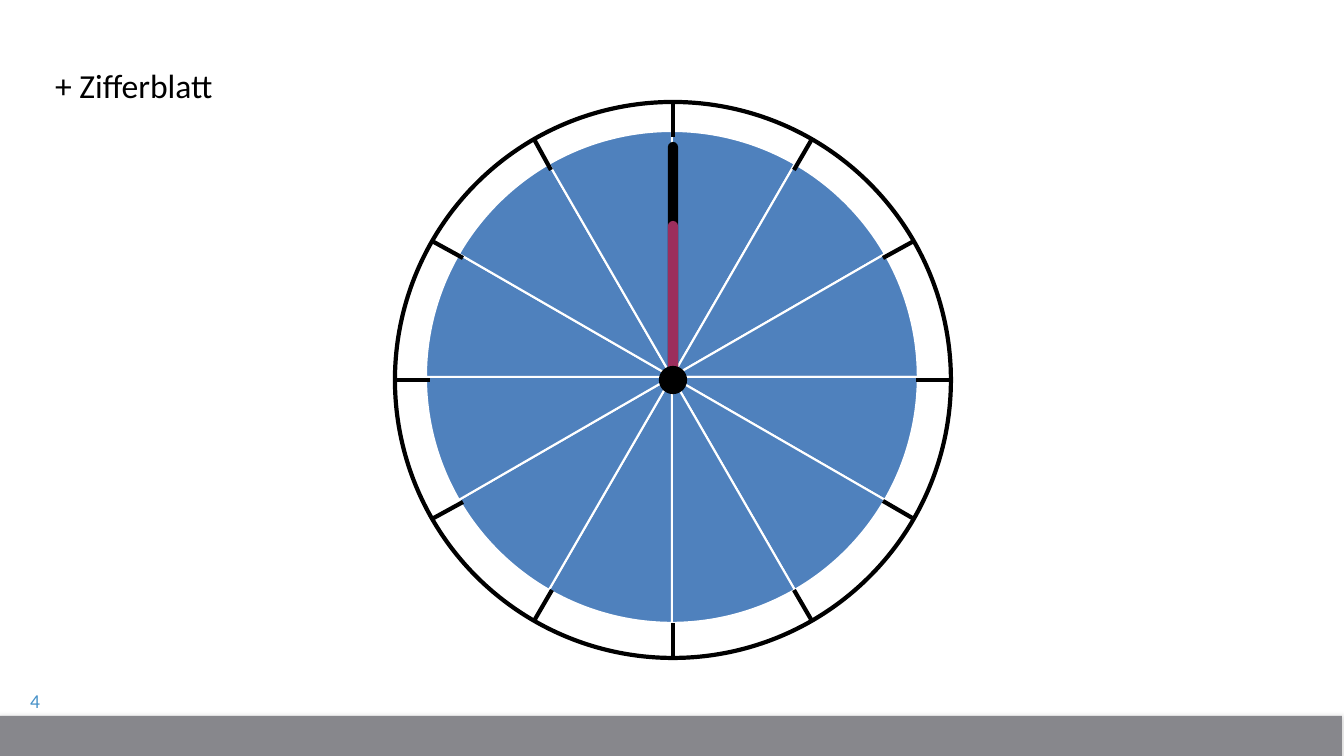
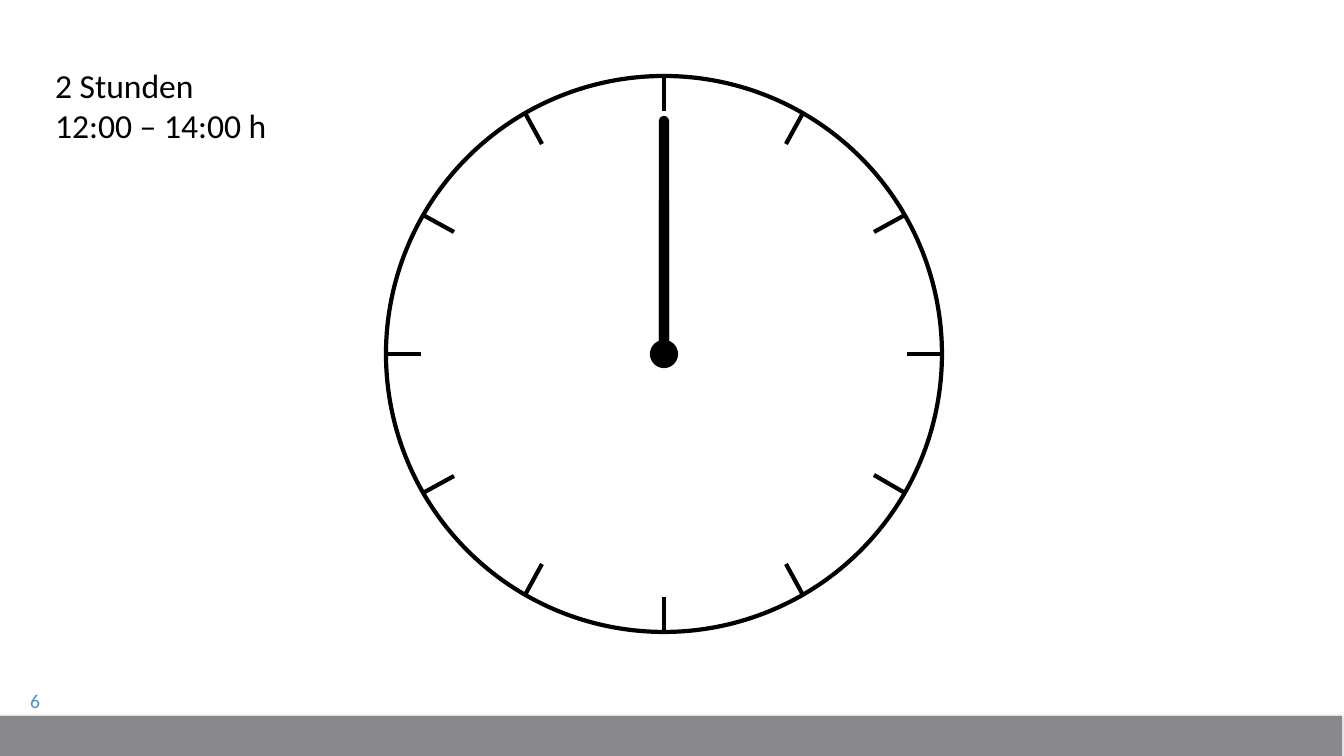
"""Build two slides that teach clock faces."""
from math import cos, radians, sin

from lxml.etree import SubElement
from pptx import Presentation
from pptx.chart.data import CategoryChartData
from pptx.dml.color import RGBColor
from pptx.enum.chart import XL_CHART_TYPE
from pptx.enum.shapes import MSO_CONNECTOR, MSO_SHAPE
from pptx.enum.text import MSO_ANCHOR, MSO_AUTO_SIZE, PP_ALIGN
from pptx.oxml.ns import qn
from pptx.util import Emu, Pt

BLACK = RGBColor(0x00, 0x00, 0x00)
WHITE = RGBColor(0xFF, 0xFF, 0xFF)
BAND_GRAY = RGBColor(0x87, 0x87, 0x8C)
NUMBER_BLUE = RGBColor(0x46, 0x91, 0xC8)
SECTOR_BLUE = RGBColor(0xA8, 0xDB, 0xE4)
HOUR_RED = RGBColor(0x9C, 0x2E, 0x5D)

FONT = "Calibri"
PX_PER_INCH = 100.8
SLIDE_SIZE = (1344, 756)
TITLE_ONLY = 5
HOURS = 12
DIAL_RADIUS = 278
TICK_INNER_RADIUS = 243
HUB_RADIUS = 12
HAND_WIDTH = 8
MINUTE_LENGTH = 237
HOUR_LENGTH = 158
PIE_FRAME = (224, 115, 896, 523)
PIE_AREA = (426, 131, 492, 492)

TITLE_FRAME = {"word_wrap": True, "auto_size": MSO_AUTO_SIZE.NONE,
               "vertical_anchor": MSO_ANCHOR.TOP}
NUMBER_FRAME = {"word_wrap": True, "vertical_anchor": MSO_ANCHOR.MIDDLE,
                "margin_left": 0, "margin_right": 0}


def px(*lengths):
    """Turn pixel lengths into a list of EMU lengths."""
    return [Emu(round(length * 914400 / PX_PER_INCH)) for length in lengths]


def set_attributes(target, values):
    """Set each named attribute of the target."""
    for name, value in values.items():
        setattr(target, name, value)


def format_text(shape, text, frame_values, size, color, alignment):
    """Fill a shape with uniformly formatted paragraphs."""
    frame = shape.text_frame
    set_attributes(frame, frame_values)
    frame.text = text
    for paragraph in frame.paragraphs:
        paragraph.alignment = alignment
        set_attributes(paragraph.font, {"name": FONT, "size": Pt(size)})
        paragraph.font.color.rgb = color


def add_figure(shapes, kind, box, fill=None, line=None, width=3):
    """Add a preset shape with the given fill and outline."""
    shape = shapes.add_shape(kind, *px(*box))
    shape.shadow.inherit = False
    if fill is None:
        shape.fill.background()
    else:
        shape.fill.solid()
        shape.fill.fore_color.rgb = fill
    if line is None:
        shape.line.fill.background()
    else:
        shape.line.color.rgb = line
        shape.line.width = Pt(width)
    return shape


def add_circle(shapes, center, radius, fill=None):
    """Add a black-edged circle around a center."""
    x, y = center
    box = (x - radius, y - radius, 2 * radius, 2 * radius)
    return add_figure(shapes, MSO_SHAPE.OVAL, box, fill, BLACK)


def add_band(layout, slide):
    """Place the bottom band with its soft shadow on the layout."""
    band = add_figure(slide.shapes, MSO_SHAPE.RECTANGLE, (-2, 716, 1344, 46), BAND_GRAY)
    effects = band.element.spPr.find(qn("a:effectLst"))
    shadow = SubElement(effects, qn("a:outerShdw"), blurRad=str(Pt(4.2)),
                        dist="0", dir="5400000")
    color = SubElement(shadow, qn("a:srgbClr"), val="000000")
    SubElement(color, qn("a:alpha"), val="15000")
    band.element.nvSpPr.cNvPr.set("id", "20")
    layout.shapes.element.insert(2, band.element)


def add_title(slide, text, height):
    """Move and format the title placeholder."""
    title = slide.shapes.title
    place = zip(("left", "top", "width", "height"), px(45, 60, 320, height))
    set_attributes(title, dict(place))
    format_text(title, text, TITLE_FRAME, 24, BLACK, PP_ALIGN.LEFT)


def add_number(slide, number):
    """Add the slide number at the lower left."""
    box = slide.shapes.add_textbox(*px(-5, 678, 45, 46))
    format_text(box, number, NUMBER_FRAME, 14, NUMBER_BLUE, PP_ALIGN.RIGHT)


def add_sectors(slide):
    """Add the pie of twelve equal hour sectors."""
    data = CategoryChartData()
    data.categories = [str(hour) for hour in range(1, HOURS + 1)]
    data.add_series("Series 1", [8] * HOURS)
    chart = slide.shapes.add_chart(XL_CHART_TYPE.PIE, *px(*PIE_FRAME), data).chart
    set_attributes(chart, {"has_title": False, "has_legend": False})
    set_attributes(chart.font, {"name": FONT, "size": Pt(10)})
    plot = chart.plots[0]
    plot.vary_by_categories = False
    sector = plot.series[0].format
    sector.fill.solid()
    sector.fill.fore_color.rgb = SECTOR_BLUE
    sector.line.color.rgb = WHITE
    sector.line.width = Pt(1.5)
    place_pie(chart)


def place_pie(chart):
    """Fix the plot area inside the chart frame."""
    left, top, width, height = PIE_FRAME
    x, y, w, h = PIE_AREA
    shares = {"x": (x - left) / width, "y": (y - top) / height,
              "w": w / width, "h": h / height}
    plot_area = chart.plots[0]._element.getparent()
    layout = plot_area.find(qn("c:layout"))
    if layout is None:
        layout = SubElement(plot_area, qn("c:layout"))
        plot_area.insert(0, layout)
    manual = SubElement(layout, qn("c:manualLayout"))
    SubElement(manual, qn("c:layoutTarget"), val="inner")
    for axis in "xy":
        SubElement(manual, qn(f"c:{axis}Mode"), val="edge")
    for name, share in shares.items():
        SubElement(manual, qn(f"c:{name}"), val=f"{share:.4f}")


def add_tick(shapes, center, hour):
    """Add the dial tick of one hour."""
    angle = radians(hour * 360 / HOURS)
    ends = [round(offset) for radius in (DIAL_RADIUS, TICK_INNER_RADIUS)
            for offset in (center[0] + radius * sin(angle),
                           center[1] - radius * cos(angle))]
    tick = shapes.add_connector(MSO_CONNECTOR.STRAIGHT, *px(*ends))
    tick.line.color.rgb = BLACK
    tick.line.width = Pt(3)
    SubElement(tick.element.spPr, qn("a:effectLst"))


def add_hand(slide, center, length, color):
    """Add a rounded hand that points to twelve."""
    x, y = center
    box = (x - HAND_WIDTH // 2, y - length, HAND_WIDTH, length)
    hand = add_figure(slide.shapes, MSO_SHAPE.ROUNDED_RECTANGLE, box, color, color, 1.5)
    hand.adjustments[0] = 0.5


def add_clock(slide, center, hour_color, dial_fill=None):
    """Add dial, ticks, both hands and the hub."""
    dial = slide.shapes.add_group_shape()
    add_circle(dial.shapes, center, DIAL_RADIUS, dial_fill)
    for hour in range(HOURS):
        add_tick(dial.shapes, center, hour)
    add_hand(slide, center, MINUTE_LENGTH, BLACK)
    add_hand(slide, center, HOUR_LENGTH, hour_color)
    add_circle(slide.shapes, center, HUB_RADIUS, BLACK)


def main():
    """Build and save the presentation."""
    presentation = Presentation()
    presentation.slide_width, presentation.slide_height = px(*SLIDE_SIZE)
    layout = presentation.slide_layouts[TITLE_ONLY]

    dial_slide = presentation.slides.add_slide(layout)
    add_band(layout, dial_slide)
    add_title(dial_slide, "+ Zifferblatt", 50)
    add_sectors(dial_slide)
    add_clock(dial_slide, (673, 380), HOUR_RED)
    add_number(dial_slide, "4")

    duration_slide = presentation.slides.add_slide(layout)
    add_title(duration_slide, "2 Stunden\n12:00 – 14:00 h", 92)
    add_clock(duration_slide, (664, 354), BLACK, WHITE)
    add_number(duration_slide, "6")

    presentation.save("out.pptx")


if __name__ == "__main__":
    main()
